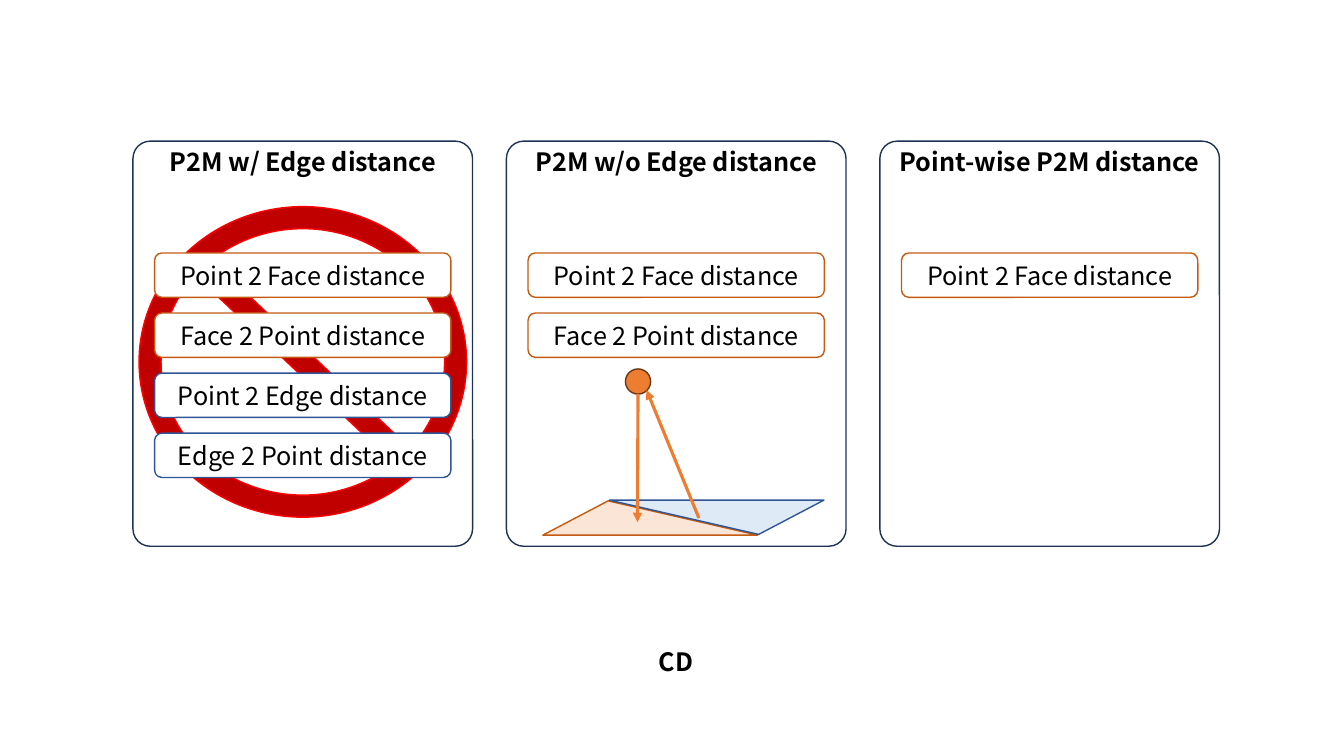
from lxml.etree import SubElement
from pptx import Presentation
from pptx.dml.color import RGBColor
from pptx.enum.shapes import MSO_CONNECTOR, MSO_SHAPE
from pptx.enum.text import MSO_ANCHOR, PP_ALIGN
from pptx.oxml.ns import qn
from pptx.util import Pt

FONT = "Noto Sans CJK SC"
WHITE, BLACK = "FFFFFF", "000000"
NAVY, BLUE, RUST, ORANGE = "1E3256", "2F5597", "C55A11", "ED7D31"

PANEL_LEFT, PANEL_TOP = 95, 100.8
PANEL_WIDTH, PANEL_HEIGHT = 242.6, 289.4
PANEL_PITCH = 266.75
HEADING_HEIGHT = 29
METRIC_TOP, METRIC_PITCH = 79.9, 42.9
METRIC_WIDTH, METRIC_HEIGHT = 211.7, 31.7

FACE_METRICS = [("Point 2 Face distance", RUST), ("Face 2 Point distance", RUST)]
EDGE_METRICS = [("Point 2 Edge distance", BLUE), ("Edge 2 Point distance", BLUE)]
PANELS = [
    ("P2M w/ Edge distance", FACE_METRICS + EDGE_METRICS),
    ("P2M w/o Edge distance", FACE_METRICS),
    ("Point-wise P2M distance", FACE_METRICS[:1]),
]


def color(hex_string):
    return RGBColor.from_string(hex_string)


def write(frame, text, bold=False):
    frame.text = text
    frame.word_wrap = True
    paragraph = frame.paragraphs[0]
    paragraph.alignment = PP_ALIGN.CENTER
    font = paragraph.runs[0].font
    font.name, font.size, font.bold = FONT, Pt(18), bold
    font.color.rgb = color(BLACK)


def add_outlined(slide, kind, box, fill, line, adjustment=None):
    shape = slide.shapes.add_shape(kind, *map(Pt, box))
    shape.shadow.inherit = False
    shape.fill.solid()
    shape.fill.fore_color.rgb = color(fill)
    shape.line.color.rgb = color(line)
    shape.line.width = Pt(1)
    if adjustment is not None:
        shape.adjustments[0] = adjustment
    return shape


def add_heading(slide, text, left, top, width):
    heading = slide.shapes.add_textbox(Pt(left), Pt(top), Pt(width), Pt(HEADING_HEIGHT))
    write(heading.text_frame, text, bold=True)


def add_arrow(slide, start, end):
    arrow = slide.shapes.add_connector(MSO_CONNECTOR.STRAIGHT, *map(Pt, start + end))
    arrow.line.color.rgb = color(ORANGE)
    arrow.line.width = Pt(2.25)
    SubElement(arrow.line._get_or_add_ln(), qn("a:tailEnd"), type="triangle")
    SubElement(arrow._element.spPr, qn("a:effectLst"))


def add_panel(slide, box, heading, metrics, banned=False):
    left, top, width, height = box
    add_outlined(slide, MSO_SHAPE.ROUNDED_RECTANGLE, box, WHITE, NAVY, 0.051)
    # Prohibition sign behind the metrics
    if banned:
        sign_box = (left + 4.3, top + 46.8, 234, 221.8)
        add_outlined(slide, MSO_SHAPE.NO_SYMBOL, sign_box, "C00000", "FF0000", 0.071)
    add_heading(slide, heading, left, top, width)
    # Stack of distance terms
    for row, (label, outline) in enumerate(metrics):
        metric_box = (left + (width - METRIC_WIDTH) / 2,
                      top + METRIC_TOP + row * METRIC_PITCH,
                      METRIC_WIDTH, METRIC_HEIGHT)
        metric = add_outlined(slide, MSO_SHAPE.ROUNDED_RECTANGLE, metric_box, WHITE, outline)
        metric.text_frame.vertical_anchor = MSO_ANCHOR.MIDDLE
        write(metric.text_frame, label)


def add_face_diagram(slide, box):
    left, top = box[:2]
    # Two adjacent faces and the point above them
    add_outlined(slide, MSO_SHAPE.ISOSCELES_TRIANGLE,
                 (left + 26, top + 257, 153.4, 24.5), "FBE5D6", RUST, 0.304)
    add_outlined(slide, MSO_SHAPE.OVAL,
                 (left + 85, top + 162.7, 18, 18), ORANGE, "683715")
    far_face = add_outlined(slide, MSO_SHAPE.ISOSCELES_TRIANGLE,
                            (left + 73.4, top + 256.4, 153.4, 24.5), "DEEBF7", BLUE, 0.304)
    far_face.rotation = 180
    # Point to face, then face to point
    add_arrow(slide, (left + 94, top + 180.7), (left + 93.6, top + 272.2))
    add_arrow(slide, (left + 137.5, top + 269.3), (left + 100.1, top + 177.8))


def main():
    deck = Presentation()
    deck.slide_width, deck.slide_height = Pt(960), Pt(540)
    slide = deck.slides.add_slide(deck.slide_layouts[6])

    # Three comparison panels
    boxes = [(PANEL_LEFT + i * PANEL_PITCH, PANEL_TOP, PANEL_WIDTH, PANEL_HEIGHT)
             for i in range(len(PANELS))]
    for i, (heading, metrics) in enumerate(PANELS):
        add_panel(slide, boxes[i], heading, metrics, banned=(i == 0))
    add_face_diagram(slide, boxes[1])

    # Caption below the middle panel
    add_heading(slide, "CD", boxes[1][0], 458, PANEL_WIDTH)
    deck.save("out.pptx")


if __name__ == "__main__":
    main()
